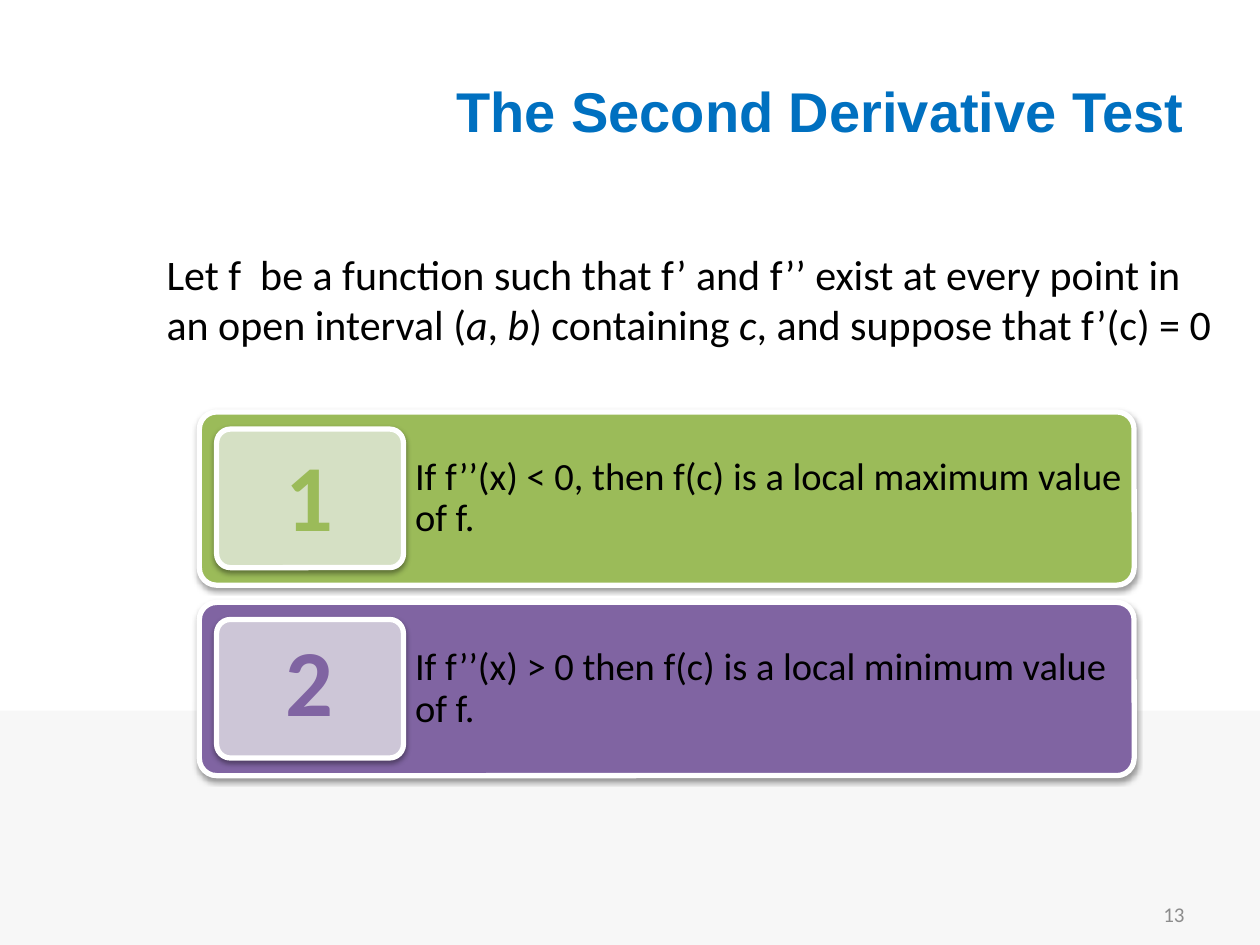
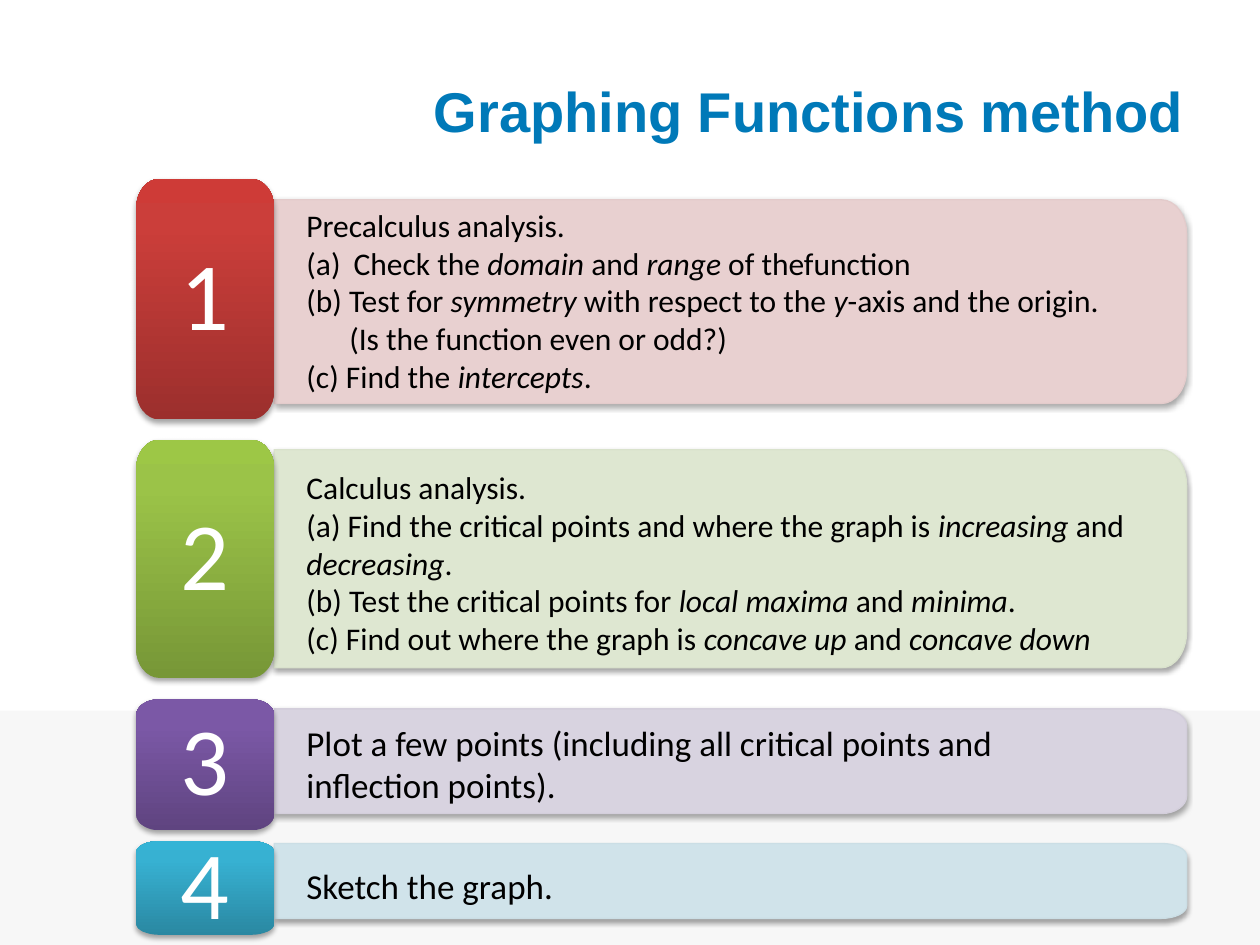
from dataclasses import dataclass
from typing import NamedTuple

from lxml.etree import SubElement
from pptx import Presentation
from pptx.dml.color import RGBColor
from pptx.enum.shapes import MSO_SHAPE
from pptx.enum.text import MSO_ANCHOR, MSO_AUTO_SIZE, PP_ALIGN
from pptx.oxml.ns import qn
from pptx.shapes.autoshape import Shape
from pptx.slide import Slide
from pptx.text.text import TextFrame
from pptx.util import Pt

# Shared look
BLACK, WHITE, BAND, GREY = "000000", "FFFFFF", "F7F7F7", "8C8C8C"
GREEN, PURPLE = "9BBB59", "8064A2"
WIDTH, HEIGHT = 720, 540
BEND = 0.55  # pull of a curve towards its corner


class Box(NamedTuple):
    x: float
    y: float
    w: float
    h: float


class Line(NamedTuple):
    """One paragraph; *stars* enclose italics."""
    text: str
    left: float = 0
    hang: float = 0
    number: str = ""


@dataclass
class Face:
    size: float
    color: str = BLACK
    bold: bool = False
    align: PP_ALIGN = PP_ALIGN.LEFT
    space: float = 1.0
    font: str = "Calibri"


@dataclass
class Card:
    """A numbered case of the test."""
    label: str
    text: str
    color: str
    pale: str
    digit: float


@dataclass
class Step:
    """A numbered step of the method: tab, bar and text."""
    tab: tuple[float, float]
    bar: tuple[float, float]
    words: Box
    size: float
    shades: tuple[str, str, str]
    fill: str
    edge: str
    lines: list[Line]


CARDS = [
    Card("1", "If f’’(x) < 0, then f(c) is a local maximum value of f.",
         GREEN, "D5E0C4", 246.2),
    Card("2", "If f’’(x) > 0 then f(c) is a local minimum value of f.",
         PURPLE, "CDC6D7", 352.1),
]

STEPS = [
    Step((102.2, 137.5), (114.2, 116.4), Box(168, 114.1, 488.9, 116.6), 18,
         ("9C2F2D", "CB3E3A", "CE3B37"), "E8D0D0", "E3CBCB",
         [Line("Precalculus analysis."),
          Line("Check the *domain* and *range* of thefunction", 27, -27,
               "alphaLcParenBoth"),
          Line("(b) Test for *symmetry* with respect to the *y*-axis and the origin."),
          Line("(Is the function even or odd?)", 24.5),
          Line("(c) Find the *intercepts*.")]),
    Step((251.3, 136.1), (257, 124.6), Box(168, 263.9, 522, 116.6), 18,
         ("779737", "9BC348", "9DC746"), "DEE7D1", "D9E2CC",
         [Line("Calculus analysis."),
          Line("(a) Find the critical points and where the graph is *increasing* "
               "and *decreasing*."),
          Line("(b) Test the critical points for *local maxima* and *minima*."),
          Line("(c) Find out where the graph is *concave up* and *concave down*")]),
    Step((399.6, 74.9), (405.1, 59.8), Box(168, 409, 475.9, 55.4), 20,
         ("5F4480", "7B58A6", "7C57A8"), "D8D3E0", "D3CEDB",
         [Line("Plot a few points (including all critical points and "
               "inflection points).")]),
    Step((480.6, 53.6), (482, 42.8), Box(168, 490.3, 360, 31.7), 20,
         ("2A88A2", "37B1D2", "34B4D6"), "D0E3EA", "CBDEE5",
         [Line("Sketch the graph.")]),
]


def paint(code: str) -> RGBColor:
    return RGBColor.from_string(code)


def place(shape: Shape, box: Box) -> None:
    shape.left, shape.top, shape.width, shape.height = map(Pt, box)


def write(frame: TextFrame, lines: list[Line], face: Face) -> None:
    frame.text = "\n".join(line.text.replace("*", "") for line in lines)
    for para, line in zip(frame.paragraphs, lines):
        para.alignment = face.align
        para.line_spacing = face.space
        props = para._p.get_or_add_pPr()
        props.set("marL", str(Pt(line.left)))
        props.set("indent", str(Pt(line.hang)))
        if line.number:
            SubElement(props, qn("a:buAutoNum"), type=line.number)
        else:
            SubElement(props, qn("a:buNone"))
        # Odd pieces between stars are italic
        pieces = line.text.split("*")
        para.runs[0].text = pieces[0]
        for piece in pieces[1:]:
            para.add_run().text = piece
        for i, run in enumerate(para.runs):
            font = run.font
            font.name, font.size, font.bold = face.font, Pt(face.size), face.bold
            font.italic = i % 2 == 1
            font.color.rgb = paint(face.color)


def add_text(slide: Slide, box: Box, lines: list[Line], face: Face,
             anchor: MSO_ANCHOR = MSO_ANCHOR.TOP, wrap: bool = True) -> Shape:
    shape = slide.shapes.add_textbox(*map(Pt, box))
    frame = shape.text_frame
    frame.word_wrap, frame.vertical_anchor = wrap, anchor
    write(frame, lines, face)
    return shape


def inset(frame: TextFrame, side: float, end: float) -> None:
    frame.margin_left = frame.margin_right = Pt(side)
    frame.margin_top = frame.margin_bottom = Pt(end)


def shade(shape: Shape, alpha: int, dist: float) -> None:
    shape.shadow.inherit = False
    effects = shape.element.spPr.find(qn("a:effectLst"))
    outer = SubElement(effects, qn("a:outerShdw"), blurRad=str(Pt(3.1)),
                       dist=str(Pt(dist)), dir="5400000", rotWithShape="0")
    color = SubElement(outer, qn("a:srgbClr"), val=BLACK)
    SubElement(color, qn("a:alpha"), val=str(alpha * 1000))


def blend(shape: Shape, shades: tuple[str, str, str]) -> None:
    shape.fill.gradient()
    shape.fill.gradient_angle = 90
    stops = shape.element.spPr.find(".//" + qn("a:gsLst"))
    for old in list(stops):
        stops.remove(old)
    for pos, code in zip((0, 80, 100), shades):
        stop = SubElement(stops, qn("a:gs"), pos=str(pos * 1000))
        SubElement(stop, qn("a:srgbClr"), val=code)


def fill_edge(shape: Shape, fill: str, edge: str, width: float) -> None:
    shape.fill.solid()
    shape.fill.fore_color.rgb = paint(fill)
    shape.line.color.rgb = paint(edge)
    shape.line.width = Pt(width)


def add_plate(slide: Slide, box: Box, fill: str) -> None:
    """White-edged rounded plate."""
    plate = slide.shapes.add_shape(MSO_SHAPE.ROUNDED_RECTANGLE, *map(Pt, box))
    plate.adjustments[0] = 0.1
    fill_edge(plate, fill, WHITE, 3)
    shade(plate, 38, 1.6)


def curve(shape: Shape, count: int) -> None:
    """Turn every other side, from the first, into a corner curve."""
    route = shape.element.spPr.find(".//" + qn("a:path"))
    nodes = list(route)
    spots = [tuple(int(n[0].get(k)) for k in "xy") for n in nodes if len(n)]
    for i in range(count):
        start, end = spots[2 * i], spots[2 * i + 1]
        peak = (end[0], start[1]) if i % 2 == 0 else (start[0], end[1])
        bend = SubElement(route, qn("a:cubicBezTo"))
        pulls = [[round(p + BEND * (c - p)) for p, c in zip(spot, peak)]
                 for spot in (start, end)]
        for x, y in (*pulls, end):
            SubElement(bend, qn("a:pt"), x=str(x), y=str(y))
        route.replace(nodes[2 * i + 1], bend)


def add_round(slide: Slide, box: Box, rx: float, ry: float,
              left: bool) -> Shape:
    """Outline with oval corners on the right and, if left, on both sides."""
    x, y, w, h = box
    right, low = x + w, y + h
    points = [(right - rx, y), (right, y + ry), (right, low - ry), (right - rx, low)]
    if left:
        points += [(x + rx, low), (x, low - ry), (x, y + ry), (x + rx, y)]
    else:
        points += [(x, low), (x, y)]
    spots = [(Pt(a), Pt(b)) for a, b in points]
    pen = slide.shapes.build_freeform(*spots[0])
    pen.add_line_segments(spots[1:], close=True)
    shape = pen.convert_to_shape()
    curve(shape, 4 if left else 2)
    shade(shape, 35, 1.8)
    return shape


def add_step(slide: Slide, label: str, step: Step) -> None:
    top, high = step.bar
    bar = add_round(slide, Box(156.7, top, 521.4, high), 14.4, high / 6, False)
    fill_edge(bar, step.fill, step.edge, 0.75)

    top, high = step.tab
    tab = add_round(slide, Box(77.9, top, 78.8, high), 13.2, high * 0.12, True)
    blend(tab, step.shades)
    tab.line.fill.background()
    frame = tab.text_frame
    frame.word_wrap, frame.vertical_anchor = True, MSO_ANCHOR.MIDDLE
    inset(frame, 20, 11.5)
    write(frame, [Line(label)], Face(55, WHITE, align=PP_ALIGN.CENTER, space=0.9))

    add_text(slide, step.words, step.lines, Face(step.size))


def add_card(slide: Slide, top: float, card: Card) -> None:
    add_plate(slide, Box(113.9, top, 534.2, 99), card.color)
    words = add_text(slide, Box(230.7, top, 417.6, 99), [Line(card.text)],
                     Face(22, space=0.9), MSO_ANCHOR.MIDDLE)
    inset(words.text_frame, 6.5, 6.5)
    add_plate(slide, Box(123.8, top + 9.8, 106.8, 79.2), card.pale)
    add_text(slide, Box(155.8, card.digit, 42.5, 72.7), [Line(card.label)],
             Face(54, card.color, True, PP_ALIGN.CENTER), wrap=False)


def set_title(slide: Slide, text: str, color: str) -> None:
    title = slide.shapes.title
    place(title, Box(36, 18, 648, 90))
    title.text_frame.vertical_anchor = MSO_ANCHOR.MIDDLE
    write(title.text_frame, [Line(text)],
          Face(32, color, True, PP_ALIGN.RIGHT, font="Arial"))


def add_band(deck: Presentation, slide: Slide) -> None:
    """Draw the lower band and move it to the master, behind all else."""
    band = slide.shapes.add_shape(MSO_SHAPE.RECTANGLE,
                                  *map(Pt, (0, 406, WIDTH, HEIGHT - 406)))
    band.fill.solid()
    band.fill.fore_color.rgb = paint(BAND)
    band.line.fill.background()
    band.shadow.inherit = False
    deck.slide_master.shapes.element.insert(2, band.element)


def add_test(deck: Presentation) -> None:
    slide = deck.slides.add_slide(deck.slide_layouts[1])
    add_band(deck, slide)
    set_title(slide, "The Second Derivative Test", "0070C0")
    body = slide.placeholders[1]
    place(body, Box(88, 138.2, 614.2, 401.8))
    body.text_frame.auto_size = MSO_AUTO_SIZE.NONE
    write(body.text_frame, [Line(
        "Let f  be a function such that f’ and f’’ exist at every point in an "
        "open interval (*a*, *b*) containing *c*, and suppose that f’(c) = 0")],
        Face(24))
    for i, card in enumerate(CARDS):
        add_card(slide, 235.4 + 108.8 * i, card)
    add_text(slide, Box(516, 508, 168, 28.8), [Line("13")],
             Face(12, GREY, align=PP_ALIGN.RIGHT), MSO_ANCHOR.MIDDLE)


def add_method(deck: Presentation) -> None:
    slide = deck.slides.add_slide(deck.slide_layouts[5])
    set_title(slide, "Graphing Functions method", "0079B8")
    for i, step in enumerate(STEPS, 1):
        add_step(slide, str(i), step)


def main() -> None:
    deck = Presentation()
    deck.slide_width, deck.slide_height = Pt(WIDTH), Pt(HEIGHT)
    add_test(deck)
    add_method(deck)
    deck.save("out.pptx")


if __name__ == "__main__":
    main()
